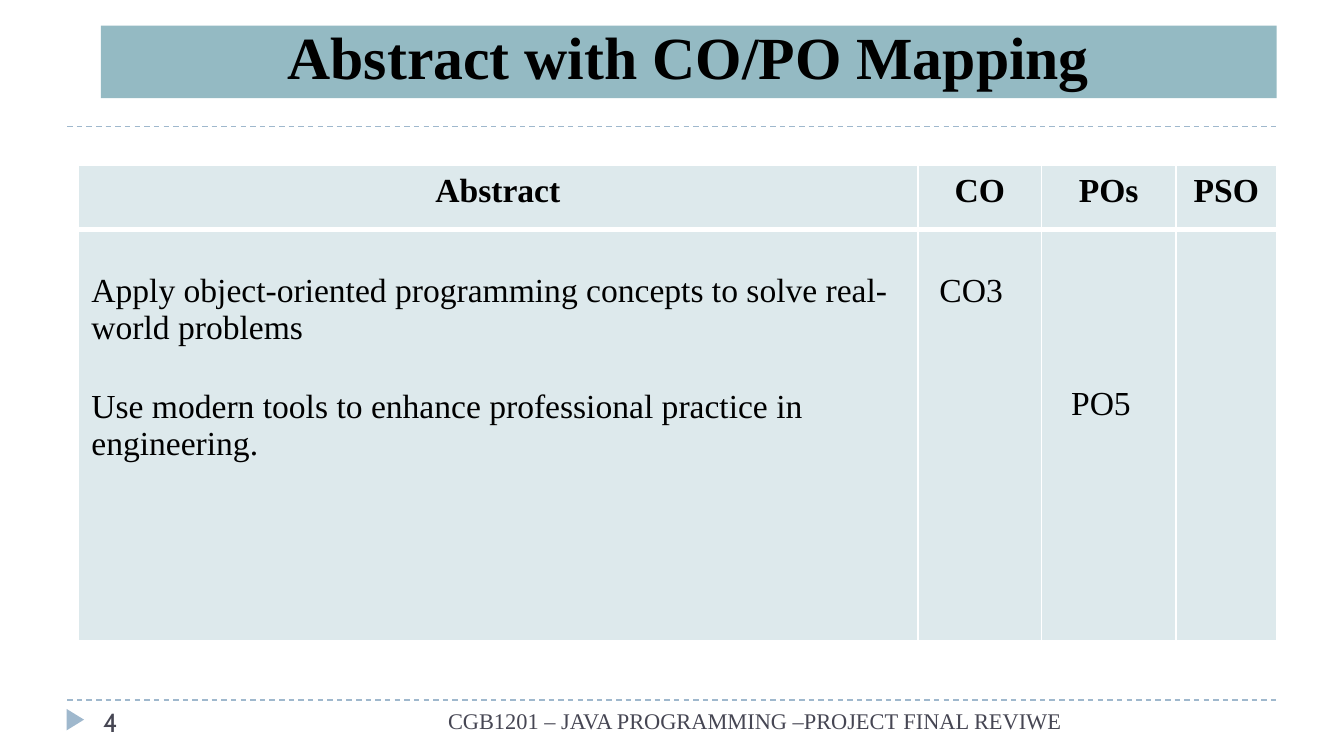
from lxml import etree
from pptx import Presentation
from pptx.dml.color import RGBColor
from pptx.enum.dml import MSO_LINE
from pptx.enum.shapes import MSO_CONNECTOR, MSO_SHAPE
from pptx.enum.text import MSO_ANCHOR, PP_ALIGN
from pptx.oxml import parse_xml
from pptx.oxml.ns import nsdecls, qn
from pptx.util import Inches, Pt

LEFT, CENTER, RIGHT = PP_ALIGN.LEFT, PP_ALIGN.CENTER, PP_ALIGN.RIGHT
BOTTOM = MSO_ANCHOR.BOTTOM
DASH = MSO_LINE.DASH
STRAIGHT = MSO_CONNECTOR.STRAIGHT
RECT, TRIANGLE = MSO_SHAPE.RECTANGLE, MSO_SHAPE.ISOSCELES_TRIANGLE

SERIF = "Times New Roman"
BLUE, TEAL, PALE, GREY = "9FB8CD", "94BAC3", "DDE9EC", "464653"


def color(code):
    return RGBColor.from_string(code)


def write(frame, text, size=18, font=SERIF, ink="000000", bold=False,
          align=LEFT, gap=0):
    """Fill a text frame, one paragraph per line, with gap points between."""
    frame.word_wrap = True
    for i, line in enumerate(text.split("\n")):
        para = frame.add_paragraph() if i else frame.paragraphs[0]
        para.alignment = align
        if i:
            para.space_before = Pt(gap)
        run = para.add_run()
        run.text = line
        run.font.size = Pt(size)
        run.font.name = font
        run.font.bold = bold
        run.font.color.rgb = color(ink)


# 16:9 slide
deck = Presentation()
deck.slide_width, deck.slide_height = Inches(10), Inches(10 * 9 / 16)
slide = deck.slides.add_slide(deck.slide_layouts[6])
shapes = slide.shapes

# Dashed rules
for y in (5.21, 0.94):
    rule = shapes.add_connector(STRAIGHT, Inches(0.5), Inches(y),
                                Inches(9.5), Inches(y))
    rule.line.color.rgb = color(BLUE)
    rule.line.width = Pt(0.75)
    rule.line.dash_style = DASH
    etree.SubElement(rule._element.spPr, qn("a:effectLst"))

# Page marker and title band
marker = shapes.add_shape(TRIANGLE, Inches(0.48), Inches(5.29),
                          Inches(0.16), Inches(0.13))
marker.rotation = 90
title = shapes.add_shape(RECT, Inches(0.75), Inches(0.19),
                         Inches(8.75), Inches(0.54))
for shape, fill in ((marker, BLUE), (title, TEAL)):
    shape.shadow.inherit = False
    shape.fill.solid()
    shape.fill.fore_color.rgb = color(fill)
    shape.line.fill.background()
frame = title.text_frame
frame.vertical_anchor = BOTTOM
frame.margin_top = 0
frame.margin_bottom = Inches(0.05)
write(frame, "Abstract with CO/PO Mapping", size=32, bold=True, align=CENTER)

# Footer
footer = shapes.add_textbox(Inches(3.08), Inches(5.21), Inches(4.92), Inches(0.22))
write(footer.text_frame, "CGB1201 – JAVA PROGRAMMING –PROJECT FINAL REVIWE",
      size=12, ink=GREY, align=RIGHT)
page = shapes.add_textbox(Inches(0.67), Inches(5.21), Inches(2.17), Inches(0.3))
write(page.text_frame, "4", size=14, font="Cabin", ink=GREY)

# Mapping table
table = shapes.add_table(2, 4, Inches(0.58), Inches(1.23),
                         Inches(8.92), Inches(3.54)).table
for col, width in zip(table.columns, (6.25, 0.92, 1, 0.75)):
    col.width = Inches(width)
for row, height in zip(table.rows, (0.48, 3.06)):
    row.height = Inches(height)

for r in range(2):
    for c in range(4):
        cell = table.cell(r, c)
        props = cell._tc.get_or_add_tcPr()
        thick = "B" if r == 0 else "T"
        for side in "LRTB":
            width = Pt(3 if side == thick else 1)
            props.append(parse_xml(
                f'<a:ln{side} {nsdecls("a")} w="{width}"><a:solidFill>'
                f'<a:srgbClr val="FFFFFF"/></a:solidFill></a:ln{side}>'))
        cell.fill.solid()
        cell.fill.fore_color.rgb = color(PALE)

for c, head in enumerate(("Abstract", "CO", "POs", "PSO")):
    write(table.cell(0, c).text_frame, head, bold=True, align=CENTER)

goals = ("Apply object-oriented programming concepts to solve real-world problems\n"
         "Use modern tools to enhance professional practice in engineering.")
body = ((goals, 0.1, 0.32), ("CO3", 0.16, 0.32), ("PO5", 0.22, 1.16))
for c, (text, left, top) in enumerate(body):
    cell = table.cell(1, c)
    cell.margin_left, cell.margin_top = Inches(left), Inches(top)
    write(cell.text_frame, text, gap=22)

deck.save("out.pptx")
